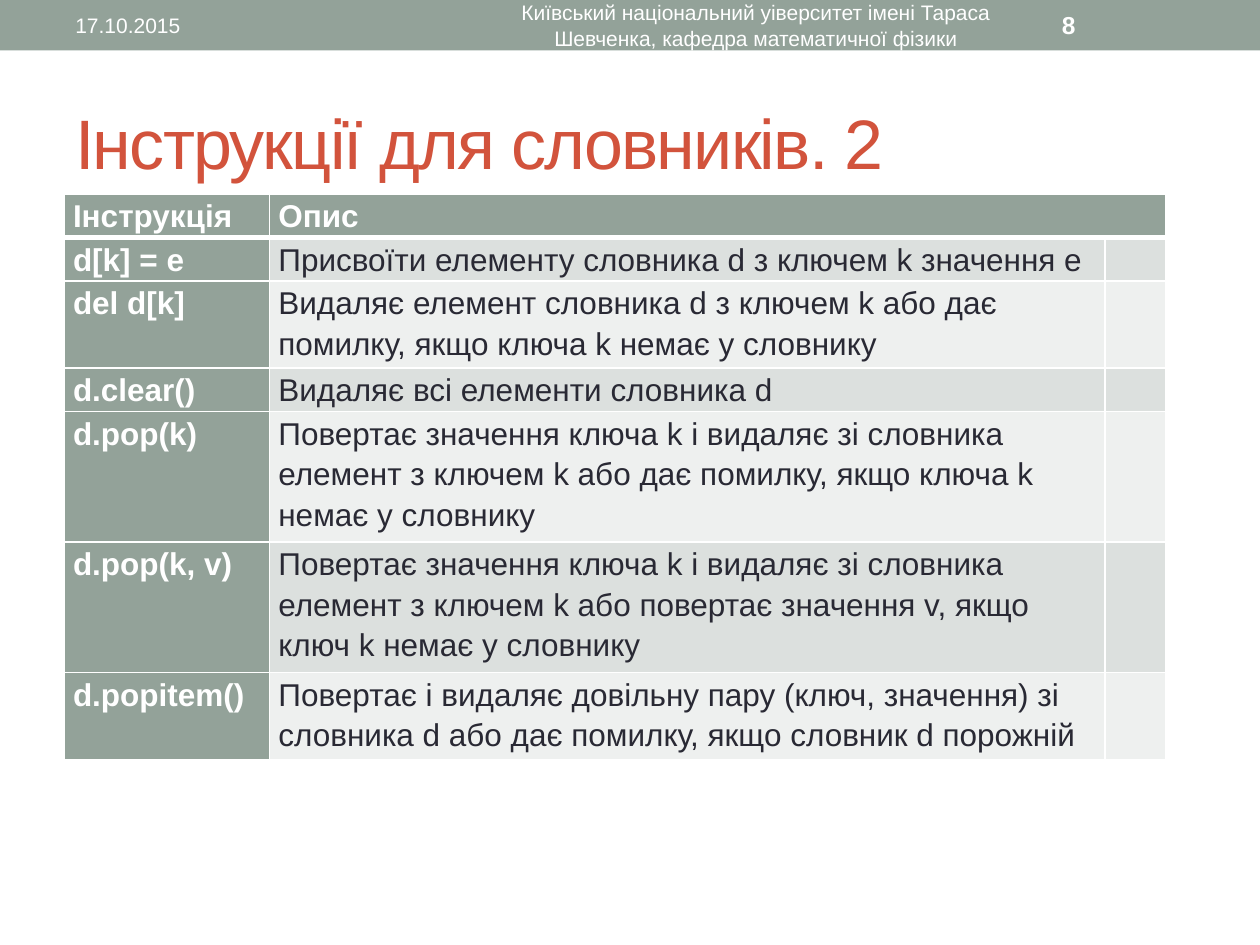
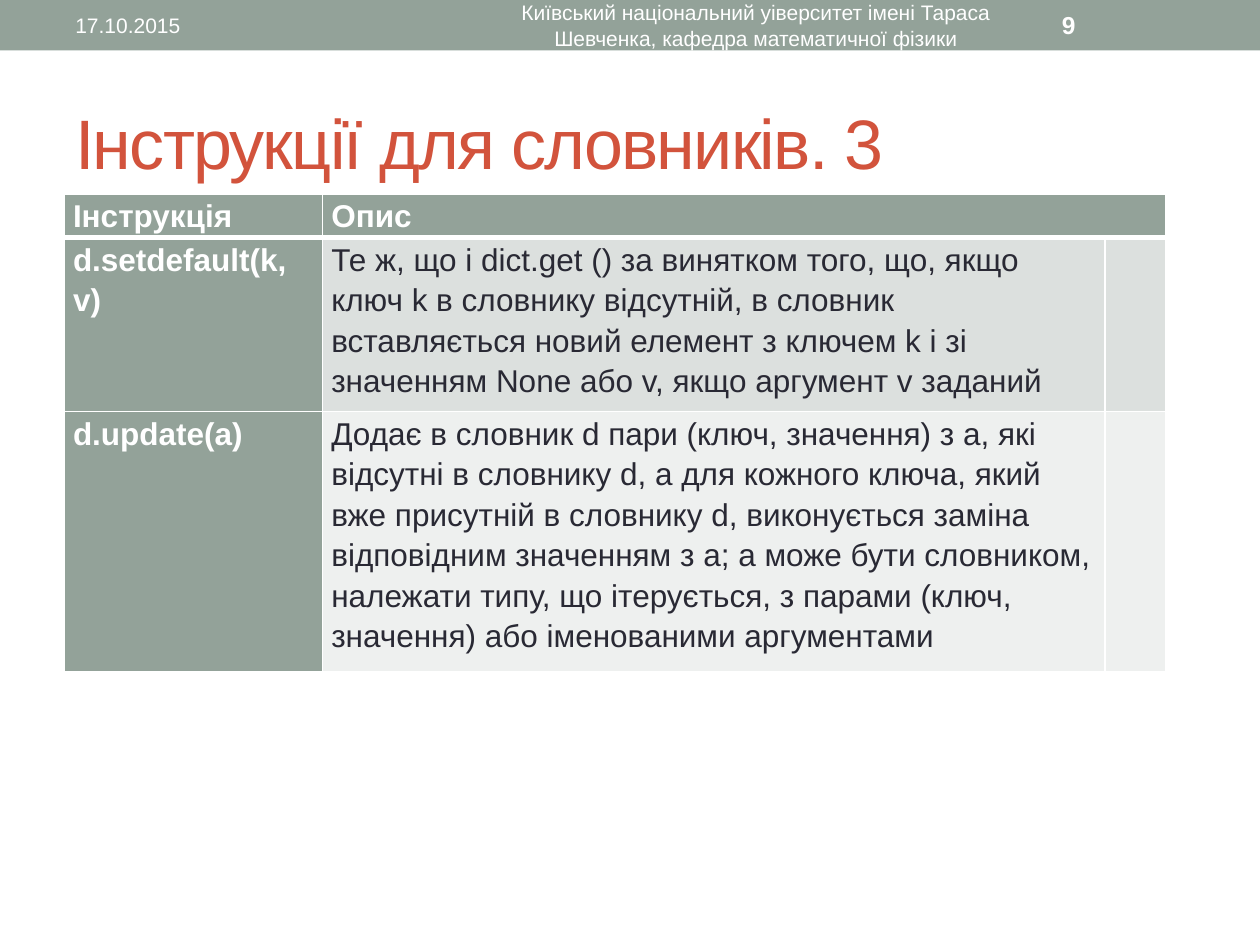
from dataclasses import dataclass
from lxml import etree
from pptx import Presentation
from pptx import util as u
from pptx.dml.color import RGBColor
from pptx.enum import shapes, text
from pptx.oxml import ns

FONT = "Arial"
SAGE, RUST, INK, WHITE = "93A299", "D2533C", "292934", "FFFFFF"
BANDS = ("DCE0DE", "EEF0EF")
DATE = "17.10.2015"
FOOTER = "Київський національний уіверситет імені Тараса Шевченка, кафедра математичної фізики"
HEADINGS = ("Інструкція", "Опис")

prs = Presentation()
prs.slide_width, prs.slide_height = u.Inches(10), u.Inches(7.5)
COL = prs.slide_width / 100
ROW = prs.slide_height / 75
LINE = 3.21
TABLE_LEFT, TABLE_TOP, TABLE_WIDTH, SPARE_WIDTH = 5.1, 15.4, 87.4, 4.8


@dataclass
class Box:
    left: float
    top: float
    width: float
    height: float

    def emu(self) -> list[int]:
        return [round(v * unit) for v, unit in
                zip((self.left, self.top, self.width, self.height), (COL, ROW, COL, ROW))]


@dataclass
class Style:
    size: float
    color: str
    bold: bool = False
    align: text.PP_ALIGN = text.PP_ALIGN.LEFT
    spacing: int = 0


@dataclass
class Entry:
    call: str
    description: str
    lines: int


@dataclass
class Page:
    number: int
    title: str
    call_width: float
    entries: list[Entry]


BAND = Box(0, 0, 100, 4)
TITLE = Box(5, 5.8, 90, 10.8)
DATE_BOX = Box(5, 0.2, 31.7, 3.6)
FOOTER_BOX = Box(37.5, 0.2, 45, 3.6)
NUMBER_BOX = Box(83.3, 0.2, 11.7, 3.6)

TITLE_STYLE = Style(40, RUST, spacing=-100)
DATE_STYLE = Style(12, WHITE)
FOOTER_STYLE = Style(12, WHITE, align=text.PP_ALIGN.CENTER)
NUMBER_STYLE = Style(14, WHITE, bold=True)
KEY_STYLE = Style(18, WHITE, bold=True)
BODY_STYLE = Style(18, INK)

PAGES = [
    Page(8, "Інструкції для словників. 2", 16.3, [
        Entry("d[k] = e", "Присвоїти елементу словника d з ключем k значення e", 1),
        Entry("del d[k]", "Видаляє елемент словника d з ключем k або дає помилку, "
              "якщо ключа k немає у словнику", 2),
        Entry("d.clear()", "Видаляє всі елементи словника d", 1),
        Entry("d.pop(k)", "Повертає значення ключа k і видаляє зі словника елемент з ключем k "
              "або дає помилку, якщо ключа k немає у словнику", 3),
        Entry("d.pop(k, v)", "Повертає значення ключа k і видаляє зі словника елемент з ключем k "
              "або повертає значення v, якщо ключ k немає у словнику", 3),
        Entry("d.popitem()", "Повертає і видаляє довільну пару (ключ, значення) зі словника d "
              "або дає помилку, якщо словник d порожній", 2),
    ]),
    Page(9, "Інструкції для словників. 3", 20.5, [
        Entry("d.setdefault(k, v)", "Те ж, що і dict.get () за винятком того, що, якщо ключ k "
              "в словнику відсутній, в словник вставляється новий елемент з ключем k і зі "
              "значенням None або v, якщо аргумент v заданий", 4),
        Entry("d.update(a)", "Додає в словник d пари (ключ, значення) з а, які відсутні в "
              "словнику d, а для кожного ключа, який вже присутній в словнику d, виконується "
              "заміна відповідним значенням з а; а може бути словником, належати типу, що "
              "ітерується, з парами (ключ, значення) або іменованими аргументами", 6),
    ]),
]


def rgb(color: str) -> RGBColor:
    return RGBColor.from_string(color)


def write(tf, content: str, style: Style) -> None:
    tf.text = content
    p = tf.paragraphs[0]
    p.alignment = style.align
    p.font.size = u.Pt(style.size)
    for r in p.runs:
        r.font.name = FONT
        r.font.size = u.Pt(style.size)
        r.font.bold = style.bold
        r.font.color.rgb = rgb(style.color)
        if style.spacing:
            r.font._element.set("spc", str(style.spacing))


def add_text(s, box: Box, content: str, style: Style) -> None:
    tf = s.shapes.add_textbox(*box.emu()).text_frame
    tf.word_wrap = True
    tf.vertical_anchor = text.MSO_ANCHOR.MIDDLE
    write(tf, content, style)


def add_borders(cell, top: float, bottom: float) -> None:
    tc_pr = cell._tc.get_or_add_tcPr()
    for side, width in (("L", 1), ("R", 1), ("T", top), ("B", bottom)):
        ln = etree.SubElement(tc_pr, ns.qn(f"a:ln{side}"), w=str(u.Pt(width)))
        fill = etree.SubElement(ln, ns.qn("a:solidFill"))
        etree.SubElement(fill, ns.qn("a:srgbClr"), val=WHITE)


def fill_cell(cell, content: str, style: Style, fill: str, row: int) -> None:
    add_borders(cell, top=3 if row == 1 else 1, bottom=3 if row == 0 else 1)
    cell.fill.solid()
    cell.fill.fore_color.rgb = rgb(fill)
    cell.margin_left = cell.margin_right = u.Inches(0.07)
    cell.margin_top = cell.margin_bottom = 0
    write(cell.text_frame, content, style)
    if content:
        cell.text_frame.paragraphs[0].line_spacing = 1.15


def add_entries(s, page: Page) -> None:
    heights = [LINE] + [LINE * e.lines for e in page.entries]
    widths = (page.call_width, TABLE_WIDTH - page.call_width - SPARE_WIDTH, SPARE_WIDTH)
    box = Box(TABLE_LEFT, TABLE_TOP, TABLE_WIDTH, sum(heights))
    table = s.shapes.add_table(len(heights), len(widths), *box.emu()).table
    table.horz_banding = table.first_row = False
    for column, width in zip(table.columns, widths):
        column.width = round(width * COL)
    for row, height in zip(table.rows, heights):
        row.height = round(height * ROW)
    for c, content in enumerate((*HEADINGS, "")):
        fill_cell(table.cell(0, c), content, KEY_STYLE, SAGE, 0)
    table.cell(0, 1).merge(table.cell(0, 2))
    for i, entry in enumerate(page.entries, 1):
        band = BANDS[(i - 1) % 2]
        fill_cell(table.cell(i, 0), entry.call, KEY_STYLE, SAGE, i)
        fill_cell(table.cell(i, 1), entry.description, BODY_STYLE, band, i)
        fill_cell(table.cell(i, 2), "", BODY_STYLE, band, i)


def add_page(page: Page) -> None:
    s = prs.slides.add_slide(prs.slide_layouts[6])
    sp = s.shapes.add_shape(shapes.MSO_SHAPE.RECTANGLE, *BAND.emu())
    sp.shadow.inherit = False
    sp.fill.solid()
    sp.fill.fore_color.rgb = rgb(SAGE)
    sp.line.fill.background()
    add_text(s, TITLE, page.title, TITLE_STYLE)
    add_entries(s, page)
    add_text(s, DATE_BOX, DATE, DATE_STYLE)
    add_text(s, FOOTER_BOX, FOOTER, FOOTER_STYLE)
    add_text(s, NUMBER_BOX, str(page.number), NUMBER_STYLE)


def main() -> None:
    for page in PAGES:
        add_page(page)
    prs.save("out.pptx")


if __name__ == "__main__":
    main()
